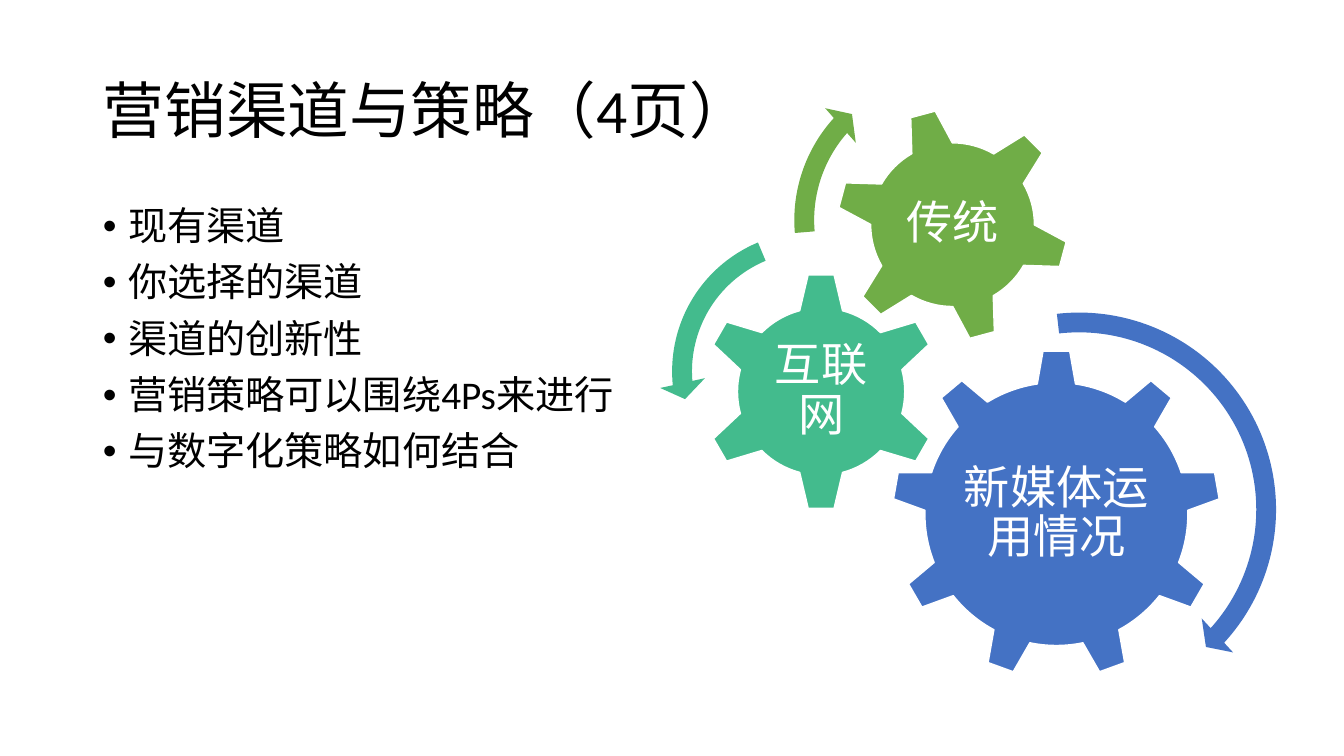
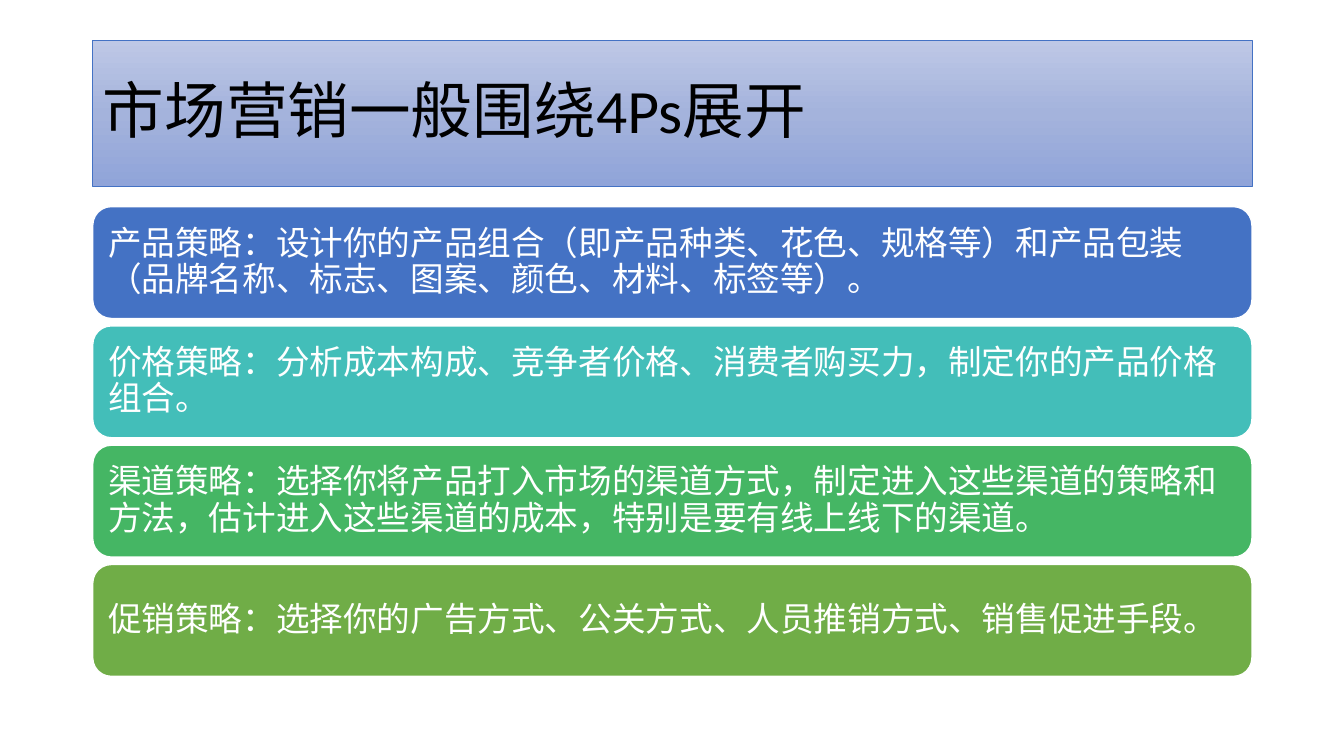
from copy import deepcopy
from dataclasses import dataclass

from pptx import Presentation
from pptx.dml.color import RGBColor
from pptx.enum.shapes import MSO_SHAPE
from pptx.enum.text import MSO_ANCHOR, MSO_AUTO_SIZE, PP_ALIGN
from pptx.oxml.ns import qn
from pptx.util import Inches, Pt

W, H = Inches(13.33), Inches(7.5)
LEFT, WIDTH = 6.9, 86.25
TITLE_TOP, TITLE_HEIGHT = 5.33, 19.33
BODY_TOP, BODY_HEIGHT = 26.67, 63.47
BARS_TOP, BAR_HEIGHT, BAR_GAP = 27.33, 14.8, 0.98


@dataclass(frozen=True)
class Theme:
    """Colours, font and type sizes shared by the slides."""
    font: str = "Calibri"
    black: str = "000000"
    white: str = "FFFFFF"
    blue: str = "4472C4"
    turquoise: str = "43BEB9"
    mint: str = "43BB8D"
    emerald: str = "45B664"
    green: str = "70AD47"
    band: tuple = ((0, "BEC8E6"), (0.5, "A4B3DC"), (1, "90A4D9"))
    title: int = 44
    body: int = 28
    gear: int = 33
    bar: int = 24


THEME = Theme()

BULLETS = ("现有渠道", "你选择的渠道", "渠道的创新性", "营销策略可以围绕4Ps来进行", "与数字化策略如何结合")

GEARS = (
    (MSO_SHAPE.GEAR_9, "新媒体运用情况", THEME.blue, (78.6, 68, 43.47), 0, (0.6, 0.52)),
    (MSO_SHAPE.GEAR_6, "互联网", THEME.mint, (61.1, 51.8, 31.6), 0, (0.5, 0.5)),
    (MSO_SHAPE.GEAR_6, "传统", THEME.green, (70.88, 29.73, 30.93), -15, (0.56, 0.56)),
)

ARROWS = (
    (MSO_SHAPE.CIRCULAR_ARROW, THEME.blue, (80.29, 67.4, 55.6), (4.7, 5.5), (4.98, 42.32, 263.54)),
    (MSO_SHAPE.LEFT_CIRCULAR_ARROW, THEME.mint, (60.41, 49.13, 40.4), (6.5, 7.5), (7.17, 174.82, 247.3)),
    (MSO_SHAPE.CIRCULAR_ARROW, THEME.green, (70.39, 29.13, 43.6), (6, 7), (6.57, 221.9, 175.14)),
)

BARS = (
    ("产品策略：设计你的产品组合（即产品种类、花色、规格等）和产品包装（品牌名称、标志、图案、颜色、材料、标签等）。", THEME.blue),
    ("价格策略：分析成本构成、竞争者价格、消费者购买力，制定你的产品价格组合。", THEME.turquoise),
    ("渠道策略：选择你将产品打入市场的渠道方式，制定进入这些渠道的策略和方法，估计进入这些渠道的成本，特别是要有线上线下的渠道。", THEME.emerald),
    ("促销策略：选择你的广告方式、公关方式、人员推销方式、销售促进手段。", THEME.green),
)


def set_values(obj, values):
    """Set each attribute named in a dict of format values."""
    for name, value in values.items():
        setattr(obj, name, value)


def area(x, y, w, h):
    """Turn percentages of the slide into left, top, width and height."""
    return int(W * x / 100), int(H * y / 100), int(W * w / 100), int(H * h / 100)


def around(x, y, size, across=1, down=1):
    """Give the box centred on a point, sized as a share of slide height."""
    w, h = (int(H * size / 100 * share) for share in (across, down))
    return int(W * x / 100) - w // 2, int(H * y / 100) - h // 2, w, h


def place(s, box):
    """Move and size a shape."""
    set_values(s, dict(zip(("left", "top", "width", "height"), box)))


def write(s, lines, size, color, align=PP_ALIGN.LEFT, anchor=MSO_ANCHOR.MIDDLE, inset=None, before=0):
    """Fill a shape with formatted paragraphs."""
    tf = s.text_frame
    set_values(tf, {"word_wrap": True, "auto_size": MSO_AUTO_SIZE.NONE, "vertical_anchor": anchor})
    if inset is not None:
        sides = ("margin_left", "margin_top", "margin_right", "margin_bottom")
        set_values(tf, dict.fromkeys(sides, Inches(inset)))
    tf.text = "\n".join(lines)
    for p in tf.paragraphs:
        set_values(p, {"alignment": align, "line_spacing": 0.9, "space_before": Pt(before)})
        for r in p.runs:
            set_values(r.font, {"name": THEME.font, "size": Pt(size)})
            r.font.color.rgb = RGBColor.from_string(color)


def add_title(slide, text):
    """Place and format the title placeholder."""
    s = slide.shapes.title
    place(s, area(LEFT, TITLE_TOP, WIDTH, TITLE_HEIGHT))
    write(s, [text], THEME.title, THEME.black)
    return s


def add_band(s):
    """Give a title a gradient band with a thin outline."""
    s.fill.gradient()
    s.fill.gradient_angle = 270
    stops = s._element.spPr.find(".//" + qn("a:gsLst"))
    stops.append(deepcopy(stops[0]))
    for stop, (position, color) in zip(s.fill.gradient_stops, THEME.band):
        stop.position = position
        stop.color.rgb = RGBColor.from_string(color)
    s.line.color.rgb = RGBColor.from_string(THEME.blue)
    s.line.width = Pt(0.5)


def add_bullets(s, lines):
    """Write the bulleted list into the body placeholder."""
    place(s, area(LEFT, BODY_TOP, WIDTH, BODY_HEIGHT))
    write(s, lines, THEME.body, THEME.black, anchor=MSO_ANCHOR.TOP, before=10)
    for p in s.text_frame.paragraphs:
        pPr = p._p.get_or_add_pPr()
        pPr.set("marL", str(Inches(0.25)))
        pPr.set("indent", str(Inches(-0.25)))


def add_solid(slide, kind, box, color, outlined=True):
    """Add a flat preset shape, with a white outline if wanted."""
    s = slide.shapes.add_shape(kind, *box)
    s.shadow.inherit = False
    s.fill.solid()
    s.fill.fore_color.rgb = RGBColor.from_string(color)
    if outlined:
        s.line.color.rgb = RGBColor.from_string(THEME.white)
        s.line.width = Pt(1)
    else:
        s.line.fill.background()
    return s


def add_gear(slide, kind, text, color, spot, turn, label_share):
    """Add a gear with an upright label on its hub."""
    add_solid(slide, kind, around(*spot), color).rotation = turn
    label = slide.shapes.add_textbox(*around(*spot, *label_share))
    write(label, [text], THEME.gear, THEME.white, align=PP_ALIGN.CENTER, inset=0.05)


def add_arc_arrow(slide, kind, color, spot, widths, angles):
    """Add a circular arrow from widths in percent and angles in degrees."""
    s = add_solid(slide, kind, around(*spot), color, outlined=False)
    shaft, head = (width / 100 for width in widths)
    for i, value in enumerate((shaft, *(angle * 0.6 for angle in angles), head)):
        s.adjustments[i] = value


def add_bar(slide, row, text, color):
    """Add one rounded strategy bar in its row."""
    top = BARS_TOP + row * (BAR_HEIGHT + BAR_GAP)
    s = add_solid(slide, MSO_SHAPE.ROUNDED_RECTANGLE, area(LEFT, top, WIDTH, BAR_HEIGHT), color)
    write(s, [text], THEME.bar, THEME.white, inset=0.1)


def build_channels(prs):
    """Build the slide of channels with its gears."""
    slide = prs.slides.add_slide(prs.slide_layouts.get_by_name("Title and Content"))
    add_title(slide, "营销渠道与策略（4页）")
    add_bullets(slide.placeholders[1], BULLETS)
    for gear in GEARS:
        add_gear(slide, *gear)
    for arrow in ARROWS:
        add_arc_arrow(slide, *arrow)


def build_strategies(prs):
    """Build the slide of the four strategies."""
    slide = prs.slides.add_slide(prs.slide_layouts.get_by_name("Title Only"))
    add_band(add_title(slide, "市场营销一般围绕4Ps展开"))
    for row, (text, color) in enumerate(BARS):
        add_bar(slide, row, text, color)


def main():
    """Build and save the presentation."""
    prs = Presentation()
    set_values(prs, {"slide_width": W, "slide_height": H})
    build_channels(prs)
    build_strategies(prs)
    prs.save("out.pptx")


if __name__ == "__main__":
    main()
